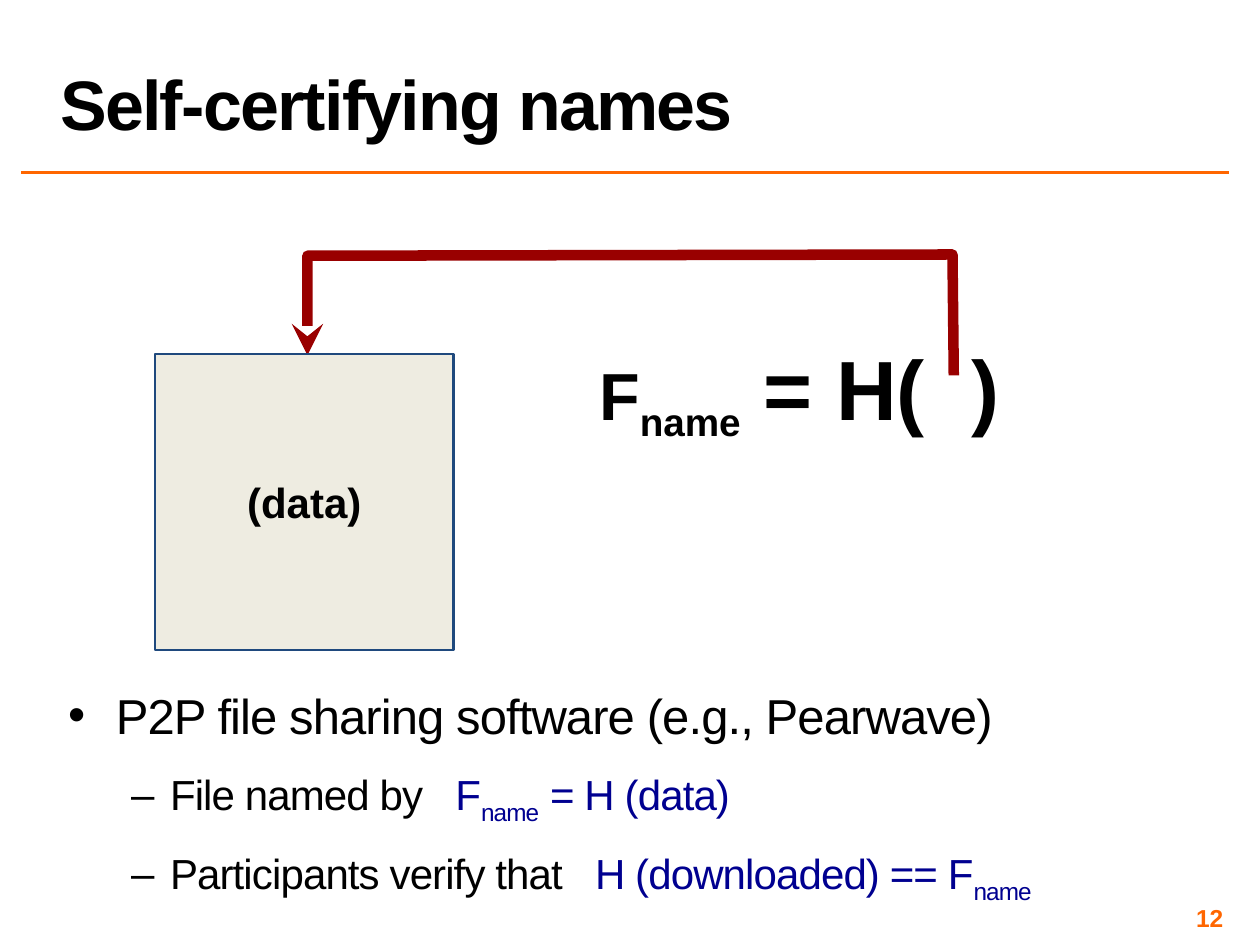
"""Build the slide on self-certifying names."""
from dataclasses import dataclass

import pptx
import pptx.dml.color
import pptx.enum.shapes
import pptx.enum.text
import pptx.oxml.ns
import pptx.util
from lxml import etree

Inches = pptx.util.Inches
Pt = pptx.util.Pt
ALIGN = pptx.enum.text.PP_ALIGN
ANCHOR = pptx.enum.text.MSO_ANCHOR


@dataclass(frozen=True)
class Theme:
    font: str = "Arial"
    ink: str = "000000"
    accent: str = "FF6600"
    arrow: str = "990000"
    formula: str = "000090"
    box_fill: str = "EEECE1"
    box_line: str = "1F497D"
    title_size: int = 40
    equation_size: int = 48
    name_size: int = 38
    topic_size: int = 28
    detail_size: int = 24
    number_size: int = 14


THEME = Theme()


def rgb(code):
    return pptx.dml.color.RGBColor.from_string(code)


def add_xml(parent, tag, **attributes):
    return etree.SubElement(parent, pptx.oxml.ns.qn(tag), attributes)


def set_outline(line, color, width):
    line.color.rgb = rgb(color)
    line.width = Pt(width)


def style_paragraph(paragraph, size, color=THEME.ink, bold=False, align=ALIGN.LEFT):
    paragraph.alignment = align
    font = paragraph.font
    font.name, font.size, font.bold = THEME.font, Pt(size), bold
    font.color.rgb = rgb(color)


def add_run(paragraph, text, color=None, size=None, subscript=False, tracking=None):
    run = paragraph.add_run()
    run.text = text
    if color:
        run.font.color.rgb = rgb(color)
    if size:
        run.font.size = Pt(size)
    properties = run._r.get_or_add_rPr()
    if subscript:
        properties.set("baseline", "-25000")
    if tracking:
        properties.set("spc", str(round(tracking * 100)))


def set_frame(frame, anchor, inset_x, inset_y):
    frame.word_wrap = True
    frame.vertical_anchor = anchor
    frame.margin_left = frame.margin_right = Inches(inset_x)
    frame.margin_top = frame.margin_bottom = Inches(inset_y)
    return frame


def add_text(slide, box, anchor=ANCHOR.TOP, inset_x=0.1, inset_y=0.1):
    textbox = slide.shapes.add_textbox(*map(Inches, box))
    return set_frame(textbox.text_frame, anchor, inset_x, inset_y)


def add_title(slide, text):
    heading = add_text(slide, (0.38, 0.02, 9.62, 1.17), ANCHOR.BOTTOM, inset_y=0.05).paragraphs[0]
    heading.line_spacing = 0.8
    style_paragraph(heading, THEME.title_size, bold=True)
    add_run(heading, text, tracking=-1)


def add_rule(slide):
    rule = slide.shapes.add_connector(
        pptx.enum.shapes.MSO_CONNECTOR.STRAIGHT,
        Inches(0.17), Inches(1.37), Inches(9.75), Inches(1.37))
    set_outline(rule.line, THEME.accent, 2)
    add_xml(rule._element.spPr, "a:effectLst")


def add_page_number(slide, number):
    page = add_text(slide, (7.42, 7.17, 2.33, 0.23), ANCHOR.MIDDLE, 0.04, 0.04).paragraphs[0]
    style_paragraph(page, THEME.number_size, THEME.accent, True, ALIGN.RIGHT)
    add_run(page, number)


def add_hash_arrow(slide, points):
    start, *rest = [(Inches(x), Inches(y)) for x, y in points]
    builder = slide.shapes.build_freeform(*start)
    builder.add_line_segments(rest, close=False)
    arrow = builder.convert_to_shape()
    arrow.shadow.inherit = False
    arrow.fill.background()
    set_outline(arrow.line, THEME.arrow, 6)
    outline = arrow._element.spPr.find(pptx.oxml.ns.qn("a:ln"))
    add_xml(outline, "a:round")
    add_xml(outline, "a:tailEnd", type="stealth")


def add_equation(slide):
    equation = add_text(slide, (3.96, 2.57, 4.77, 0.5)).paragraphs[0]
    style_paragraph(equation, THEME.name_size, bold=True, align=ALIGN.CENTER)
    add_run(equation, "F")
    add_run(equation, "name", subscript=True)
    add_run(equation, " = H(  )", size=THEME.equation_size)


def add_data_box(slide, text):
    data = slide.shapes.add_shape(
        pptx.enum.shapes.MSO_SHAPE.RECTANGLE, *map(Inches, (1.23, 2.81, 2.37, 2.35)))
    data.shadow.inherit = False
    data.fill.solid()
    data.fill.fore_color.rgb = rgb(THEME.box_fill)
    set_outline(data.line, THEME.box_line, 1.5)
    label = set_frame(data.text_frame, ANCHOR.MIDDLE, 0.1, 0.1).paragraphs[0]
    style_paragraph(label, THEME.detail_size, bold=True, align=ALIGN.CENTER)
    add_run(label, text)


def add_bullet(paragraph, level, runs):
    mark, margin, hanging, before, spacing, size = (
        ("•", 0.38, 0.38, 30, 1.0, THEME.topic_size),
        ("–", 0.81, 0.31, 8, 0.95, THEME.detail_size),
    )[level]
    paragraph.level = level
    paragraph.line_spacing = spacing
    paragraph.space_before, paragraph.space_after = Pt(before), Pt(6)
    properties = paragraph._p.get_or_add_pPr()
    properties.set("marL", str(Inches(margin)))
    properties.set("indent", str(-Inches(hanging)))
    add_xml(properties, "a:buFont", typeface=THEME.font)
    add_xml(properties, "a:buChar", char=mark)
    style_paragraph(paragraph, size)
    for text, color, subscript in runs:
        add_run(paragraph, text, color, subscript=subscript, tracking=-0.5)


def add_bullets(slide, bullets):
    body = add_text(slide, (0.5, 5.4, 9.5, 1.88), inset_x=0.04, inset_y=0.04)
    for index, (level, runs) in enumerate(bullets):
        paragraph = body.add_paragraph() if index else body.paragraphs[0]
        add_bullet(paragraph, level, runs)


def main():
    deck = pptx.Presentation()
    deck.slide_width, deck.slide_height = Inches(10), Inches(7.5)
    slide = deck.slides.add_slide(deck.slide_layouts[6])
    add_rule(slide)
    add_page_number(slide, "12")
    add_title(slide, "Self-certifying names")
    add_hash_arrow(slide, [(7.57, 2.98), (7.56, 2.02), (2.44, 2.03), (2.44, 2.82)])
    add_equation(slide)
    blue = THEME.formula
    add_bullets(slide, [
        (0, [("P2P file sharing software (e.g., Pearwave)", None, False)]),
        (1, [("File named by   ", None, False), ("F", blue, False),
             ("name", blue, True), (" = H (data)", blue, False)]),
        (1, [("Participants verify that   ", None, False),
             ("H (downloaded) == F", blue, False), ("name", blue, True)]),
    ])
    add_data_box(slide, "(data)")
    deck.save("out.pptx")


if __name__ == "__main__":
    main()
